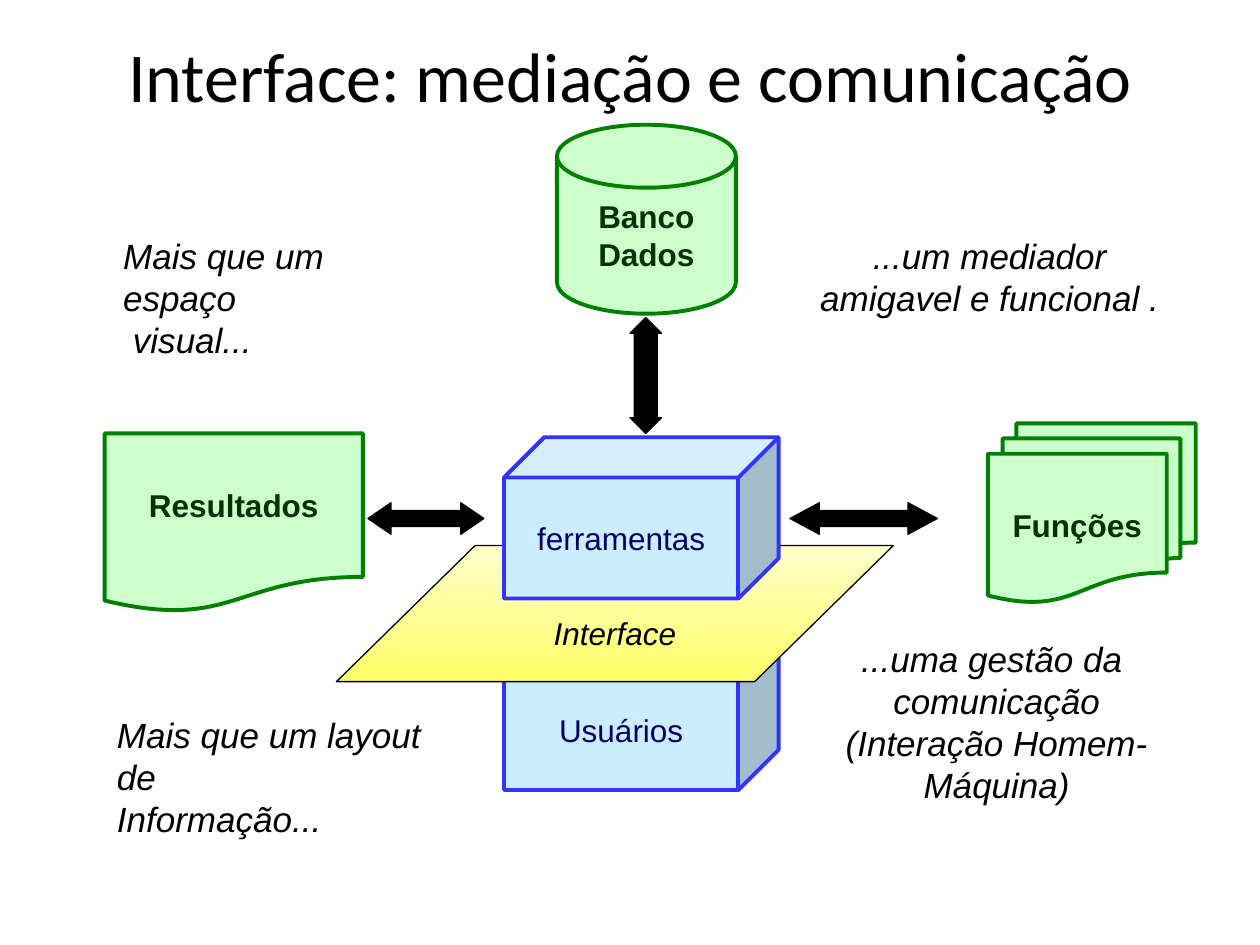
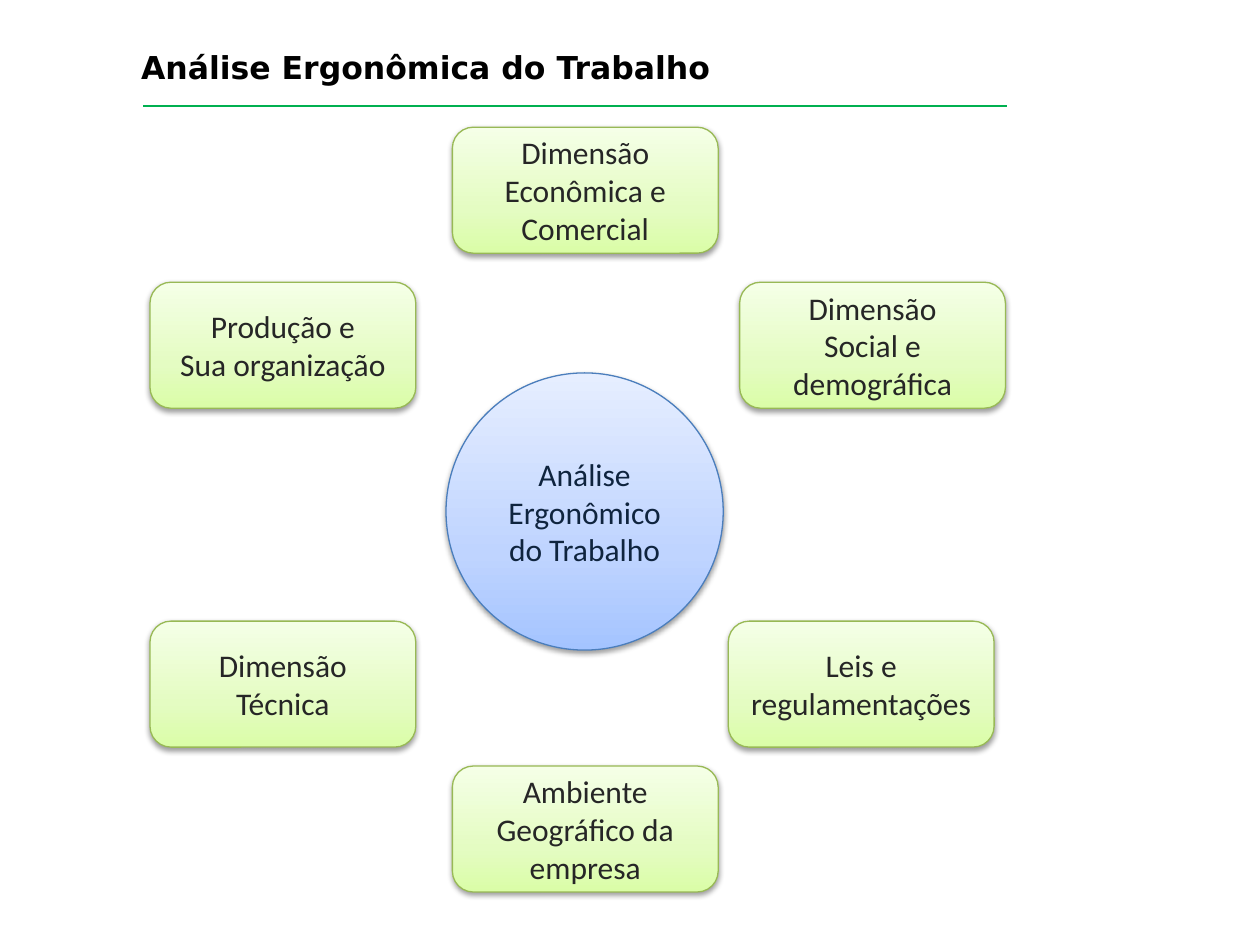
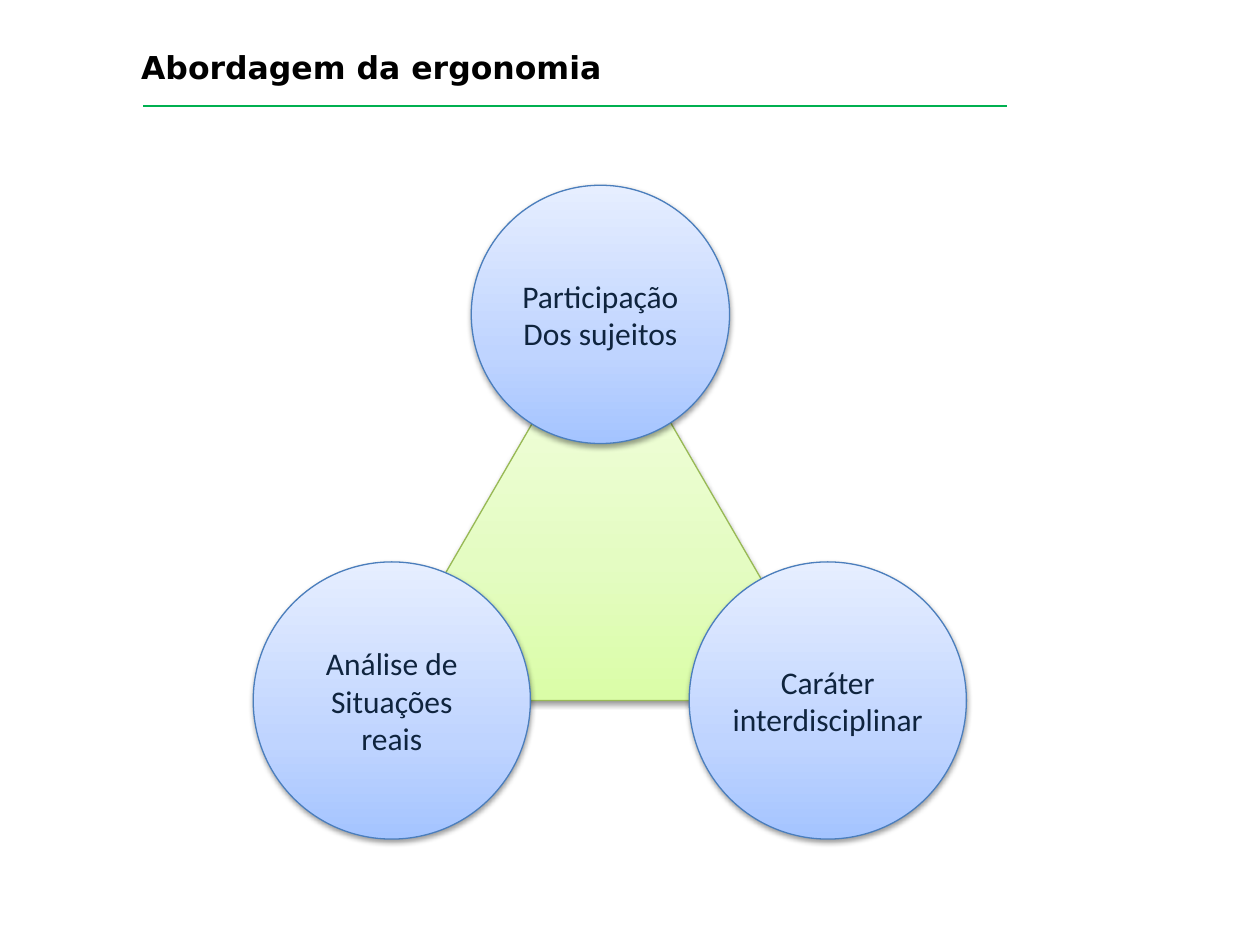
"""Build three slides on interfaces and ergonomics."""
from lxml import etree
from pptx import Presentation
from pptx.dml.color import RGBColor
from pptx.enum.shapes import MSO_SHAPE
from pptx.enum.text import MSO_ANCHOR, PP_ALIGN
from pptx.oxml.ns import qn
from pptx.util import Inches, Pt

CUBE = MSO_SHAPE.CUBE
DISK = MSO_SHAPE.FLOWCHART_MAGNETIC_DISK
PAGE = MSO_SHAPE.FLOWCHART_DOCUMENT
PAGES = MSO_SHAPE.FLOWCHART_MULTIDOCUMENT
PLANE = MSO_SHAPE.PARALLELOGRAM
TALL = MSO_SHAPE.UP_DOWN_ARROW
WIDE = MSO_SHAPE.LEFT_RIGHT_ARROW
OVAL = MSO_SHAPE.OVAL
CARD = MSO_SHAPE.ROUNDED_RECTANGLE
WEDGE = MSO_SHAPE.ISOSCELES_TRIANGLE
BAR = MSO_SHAPE.RECTANGLE
MIDDLE, TOP = MSO_ANCHOR.MIDDLE, MSO_ANCHOR.TOP
LEFT, MID, JUST = PP_ALIGN.LEFT, PP_ALIGN.CENTER, PP_ALIGN.JUSTIFY

BLACK = "000000"
BLUES = [(0, "A4C4FF"), (35, "BFD4FF"), (100, "E6EEFF")]
GREENS = [(0, "DAFDA7"), (35, "E4FCC2"), (100, "F5FFE7")]
YELLOWS = [(0, "FFFF66"), (100, "FFFFCC")]
BLUE_LOOK = {"fill": BLUES, "line": "4B7EBC", "shade": True}
GREEN_LOOK = {"fill": GREENS, "line": "98B955", "shade": True}
STORE_LOOK = {"fill": "CCFFCC", "line": "008000", "weight": 2.25}
CUBE_LOOK = {"fill": "CCECFF", "line": "3333FF", "weight": 2.25}
BLUE_TEXT = {"color": "0F243E"}
GREEN_TEXT = {"color": "262626"}


def rgb(code):
    """Turn a hex string into a colour."""
    return RGBColor.from_string(code)


def write(frame, text, size=18, font="Calibri", color=BLACK, bold=False,
          italic=False, align=MID, anchor=MIDDLE, wrap=True, pad=(0.1, 0.05)):
    """Fill a text frame with one paragraph per line."""
    frame.word_wrap = wrap
    frame.vertical_anchor = anchor
    frame.margin_left = frame.margin_right = Inches(pad[0])
    frame.margin_top = Inches(pad[1])
    frame.margin_bottom = Inches(0.05)
    for num, line in enumerate(text.split("\n")):
        para = frame.add_paragraph() if num else frame.paragraphs[0]
        para.alignment = align
        run = para.add_run()
        run.text = line
        run.font.name, run.font.size = font, Pt(size)
        run.font.bold, run.font.italic = bold, italic
        run.font.color.rgb = rgb(color)


def blend(shape, stops):
    """Fill a shape with a gradient that rises from the first stop."""
    shape.fill.gradient()
    shape.fill.gradient_angle = 90
    group = shape.element.spPr.find(".//" + qn("a:gsLst"))
    for old in list(group):
        group.remove(old)
    for spot, code in stops:
        stop = etree.SubElement(group, qn("a:gs"), pos=str(spot * 1000))
        etree.SubElement(stop, qn("a:srgbClr"), val=code)


def cast(shape):
    """Give a shape a soft shadow below it."""
    effect = shape.element.spPr.find(qn("a:effectLst"))
    outer = etree.SubElement(effect, qn("a:outerShdw"), blurRad="40000",
                             dist="20000", dir="5400000", rotWithShape="0")
    tint = etree.SubElement(outer, qn("a:srgbClr"), val=BLACK)
    etree.SubElement(tint, qn("a:alpha"), val="38000")


def draw(slide, kind, box, fill=BLACK, line=BLACK, weight=0.75,
         shade=False, adjust=()):
    """Add a preset shape with its fill, line and shadow."""
    shape = slide.shapes.add_shape(kind, *map(Inches, box))
    for num, value in enumerate(adjust):
        shape.adjustments[num] = value
    if isinstance(fill, str):
        shape.fill.solid()
        shape.fill.fore_color.rgb = rgb(fill)
    else:
        blend(shape, fill)
    shape.line.color.rgb = rgb(line)
    shape.line.width = Pt(weight)
    shape.shadow.inherit = False
    if shade:
        cast(shape)
    return shape


def start(deck, text, box, **form):
    """Add a slide with its title placed and formatted."""
    slide = deck.slides.add_slide(deck.slide_layouts[5])
    title = slide.shapes.title
    title.left, title.top, title.width, title.height = map(Inches, box)
    write(title.text_frame, text, **form)
    return slide


def topic(deck, text):
    """Add a slide with a small bold title over a green rule."""
    slide = start(deck, text, (1.02, 0.33, 8.05, 0.51), font="DejaVu Sans",
                  bold=True, align=JUST, anchor=TOP)
    draw(slide, BAR, (1.12, 0.82, 6.89, 0.04), "00B050", "FFFFFF", 2)
    return slide


def tower(slide, left, top):
    """Stack the tools and users around the interface plane."""
    def cube(drop, text):
        shape = draw(slide, CUBE, (left + 1.33, top + drop, 2.18, 1.28),
                     **CUBE_LOOK)
        write(shape.text_frame, text, font="Arial", color="000066", wrap=False)

    cube(1.52, "Usuários")
    plane = draw(slide, PLANE, (left, top + 0.86, 4.42, 1.08), YELLOWS,
                 adjust=[1.019])
    write(plane.text_frame, "Interface", font="Arial", italic=True,
          wrap=False, pad=(0.1, 0.35))
    cube(0, "ferramentas")


def stores(slide, left, top):
    """Place the data shapes and the arrows that join them."""
    for kind, x, y, wide, high, text in [
            (DISK, 3.59, 0, 1.42, 1.5, "Banco\nDados"),
            (PAGES, 7.01, 2.37, 1.65, 1.42, "Funções"),
            (PAGE, 0, 2.45, 2.05, 1.42, "Resultados")]:
        shape = draw(slide, kind, (left + x, top + y, wide, high),
                     **STORE_LOOK)
        write(shape.text_frame, text, font="Arial", color="003300",
              bold=True, wrap=False)
    for kind, x, y, wide, high, head in [
            (TALL, 4.17, 1.53, 0.25, 0.92, 0.733),
            (WIDE, 5.44, 3, 1.17, 0.25, 0.933),
            (WIDE, 2.09, 3, 0.92, 0.25, 0.733)]:
        draw(slide, kind, (left + x, top + y, wide, high),
             adjust=[0.5, head])


def notes(slide, left, top):
    """Place the four remarks around the diagram."""
    for x, y, wide, high, align, text in [
            (0.05, 0, 2.6, 0.77, LEFT, "Mais que um espaço\n visual..."),
            (5.43, 0, 3.19, 0.77, MID,
             "...um mediador\namigavel e funcional ."),
            (0, 3.8, 2.8, 0.77, LEFT, "Mais que um layout de\nInformação..."),
            (5.74, 3.2, 2.68, 1.43, MID,
             "...uma gestão da \ncomunicação\n(Interação Homem-Máquina)")]:
        box = map(Inches, (left + x, top + y, wide, high))
        write(slide.shapes.add_textbox(*box).text_frame, text, size=20,
              font="Arial", italic=True, align=align, anchor=TOP)


def disc(slide, x, y, size, text):
    """Add a blue circle with its label."""
    shape = draw(slide, OVAL, (x, y, size, size), **BLUE_LOOK)
    write(shape.text_frame, text, pad=(0, 0.05), **BLUE_TEXT)


def ring(slide, left, top):
    """Place six cards around the central circle."""
    disc(slide, left + 2.35, top + 1.95, 2.2,
         "Análise\nErgonômico\ndo Trabalho")
    for x, y, text in [
            (4.68, 1.23, "Dimensão\nSocial e\ndemográfica"),
            (2.4, 0, "Dimensão\nEconômica e\nComercial"),
            (0, 1.23, "Produção e\nSua organização"),
            (0, 3.92, "Dimensão\nTécnica"),
            (2.4, 5.07, "Ambiente\nGeográfico da\nempresa"),
            (4.59, 3.92, "Leis e\nregulamentações")]:
        card = draw(slide, CARD, (left + x, top + y, 2.11, 1), **GREEN_LOOK)
        write(card.text_frame, text, **GREEN_TEXT)


def triad(slide, left, top):
    """Place three circles at the corners of a triangle."""
    draw(slide, WEDGE, (left + 0.94, top + 0.94, 3.65, 3.15), **GREEN_LOOK)
    for x, y, size, text in [
            (1.73, 0, 2.05, "Participação\nDos sujeitos"),
            (3.46, 2.99, 2.2, "Caráter\ninterdisciplinar"),
            (0, 2.99, 2.2, "Análise de\nSituações\nreais")]:
        disc(slide, left + x, top + y, size, text)


def main():
    """Build and save the deck."""
    deck = Presentation()
    deck.slide_width, deck.slide_height = Inches(10), Inches(7.5)
    slide = start(deck, "Interface: mediação e comunicação",
                  (0.5, -0.03, 9, 1.25), size=40)
    tower(slide, 2.67, 3.47)
    stores(slide, 0.83, 0.99)
    notes(slide, 0.83, 1.81)
    ring(topic(deck, "Análise Ergonômica do Trabalho"), 1.19, 1.01)
    triad(topic(deck, "Abordagem da ergonomia"), 2.01, 1.47)
    deck.save("out.pptx")


if __name__ == "__main__":
    main()
